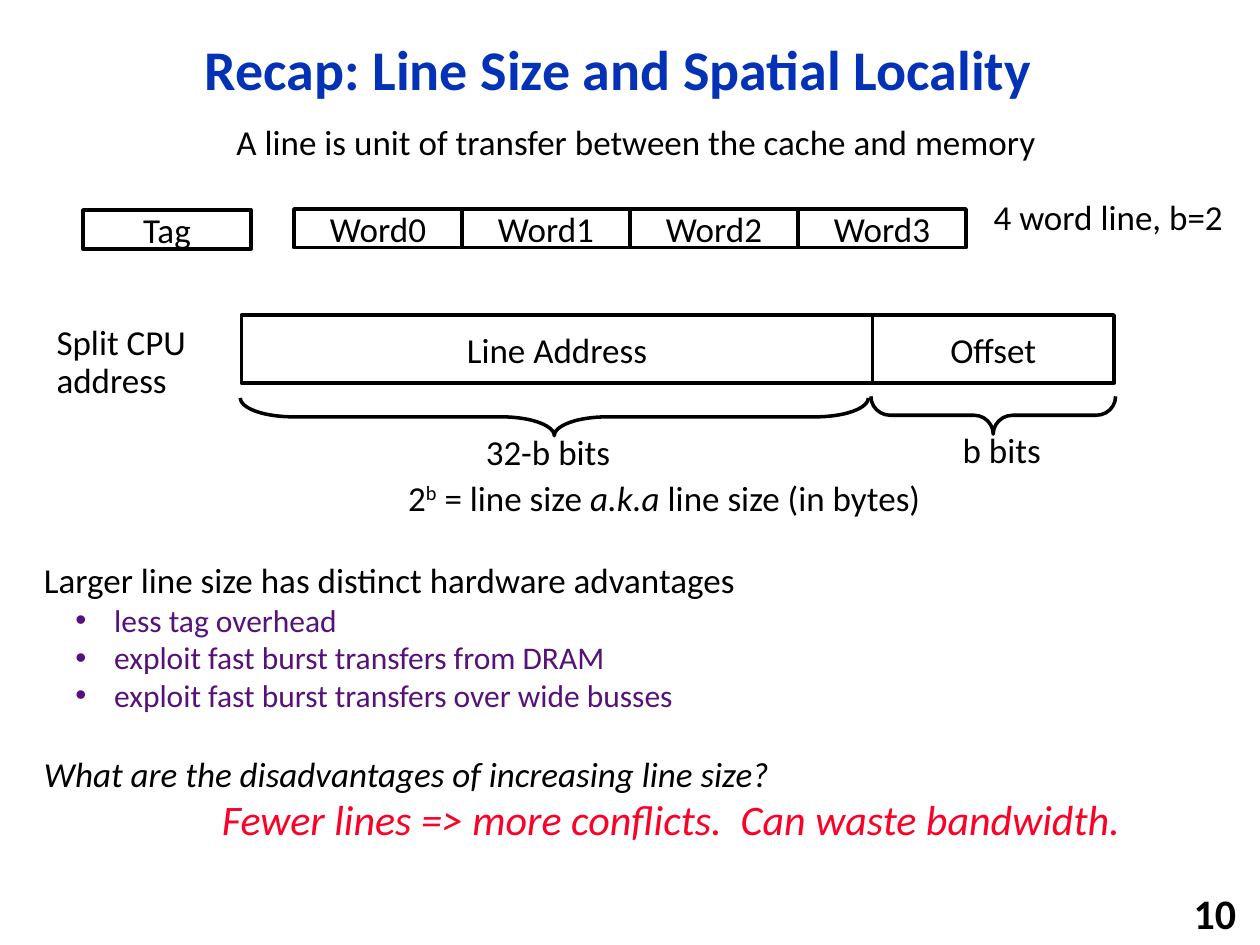
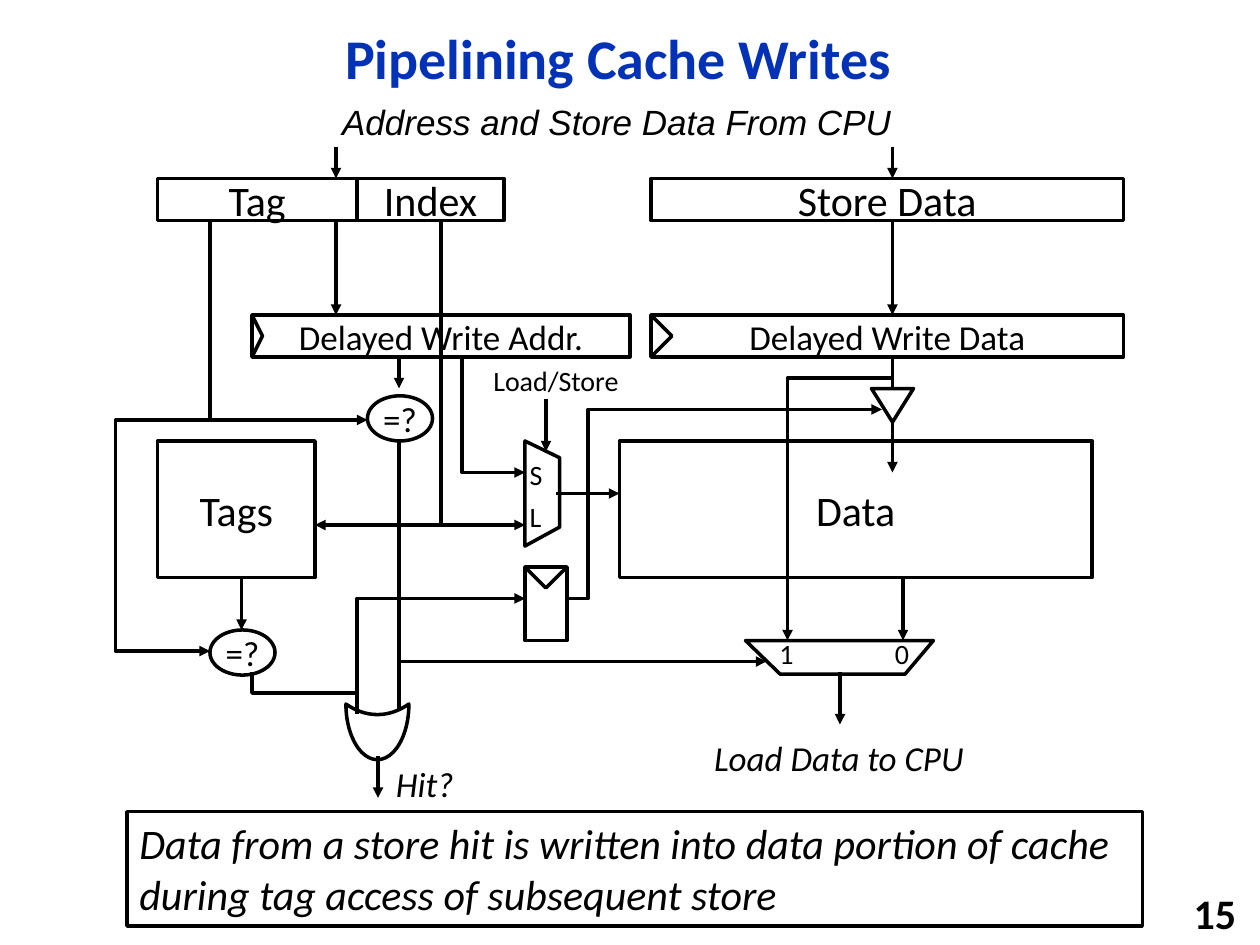
from dataclasses import dataclass
from typing import Any

from lxml import etree
from pptx import Presentation
from pptx import util as u
from pptx.dml.color import RGBColor
from pptx.enum import shapes, text
from pptx.oxml.ns import qn

PX = 7620  # 120 px to the inch
BLACK = RGBColor(0x00, 0x00, 0x00)
WHITE = RGBColor(0xFF, 0xFF, 0xFF)
TITLE_BLUE = RGBColor(0x03, 0x32, 0xB7)
BULLET_PURPLE = RGBColor(0x56, 0x12, 0x7A)
ANSWER_RED = RGBColor(0xFC, 0x01, 0x28)
FONT = "Calibri"
LEFT, CENTER, RIGHT = text.PP_ALIGN.LEFT, text.PP_ALIGN.CENTER, text.PP_ALIGN.RIGHT
TOP, MIDDLE = text.MSO_ANCHOR.TOP, text.MSO_ANCHOR.MIDDLE
RECT, OVAL = shapes.MSO_SHAPE.RECTANGLE, shapes.MSO_SHAPE.OVAL
LINE_WIDTH = u.Pt(2)


def style_font(font, size, color=BLACK, bold=False, italic=False, name=FONT):
    font.size, font.name = u.Pt(size), name
    font.bold, font.italic = bold, italic
    font.color.rgb = color


def write(shape, words, size, align=CENTER, anchor=MIDDLE, spacing=None, **font):
    frame = shape.text_frame
    frame.word_wrap = align != CENTER
    frame.vertical_anchor = anchor
    frame.text = words
    para = frame.paragraphs[0]
    para.alignment = align
    if spacing:
        para.line_spacing = spacing
    for span in para.runs:
        style_font(span.font, size, **font)
    return frame


def paint(shape, fill=None):
    shape.shadow.inherit = False
    if fill is None:
        shape.fill.background()
    else:
        shape.fill.solid()
        shape.fill.fore_color.rgb = fill
    shape.line.color.rgb = BLACK
    shape.line.width = LINE_WIDTH


def add_arrowhead(shape):
    etree.SubElement(shape.line._get_or_add_ln(), qn("a:tailEnd"), type="triangle")


@dataclass
class Region:
    """Part of a page; everything in it is placed from its top left corner."""
    page: Any
    left: int = 0
    top: int = 0

    def place(self, x, y, width, height):
        return [n * PX for n in (self.left + x, self.top + y, width, height)]

    def shift(self, points):
        return [(self.left + x, self.top + y) for x, y in points]

    def label(self, box, words, size=20, anchor=TOP, **style):
        shape = self.page.shapes.add_textbox(*self.place(*box))
        return write(shape, words, size, anchor=anchor, **style)

    def cell(self, box, words="", size=20, kind=RECT, **style):
        shape = self.page.shapes.add_shape(kind, *self.place(*box))
        paint(shape, WHITE)
        if words:
            write(shape, words, size, **style)
        return shape

    def turned(self, kind, box, adjustment, fill=None):
        """Shape turned a quarter left so that it fills the box."""
        x, y, width, height = box
        shift = (width - height) // 2
        shape = self.page.shapes.add_shape(
            kind, *self.place(x + shift, y - shift, height, width))
        shape.rotation = 270
        shape.adjustments[0] = adjustment
        paint(shape, fill)

    def outline(self, *points, fill=None, close=False):
        start, *rest = self.shift(points)
        builder = self.page.shapes.build_freeform(*start, scale=PX)
        builder.add_line_segments(rest, close=close)
        shape = builder.convert_to_shape()
        paint(shape, fill)
        return shape

    def wire(self, *points, arrow=True):
        """Straight connector for two points, bent line for more."""
        if len(points) > 2:
            shape = self.outline(*points)
        else:
            ends = [n * PX for point in self.shift(points) for n in point]
            shape = self.page.shapes.add_connector(
                shapes.MSO_CONNECTOR.STRAIGHT, *ends)
            shape.line.color.rgb = BLACK
            shape.line.width = LINE_WIDTH
            etree.SubElement(shape._element.spPr, qn("a:effectLst"))
        if arrow:
            add_arrowhead(shape)


def add_page(deck, title, title_top, number):
    page = deck.slides.add_slide(deck.slide_layouts[6])
    whole = Region(page)
    whole.label((110, title_top, 958, 97), title, 32, MIDDLE,
                spacing=0.9, color=TITLE_BLUE, bold=True)
    whole.label((940, 850, 249, 38), number, 24, MIDDLE, align=RIGHT, bold=True)
    return page


# Line size and spatial locality

def draw_cache_line(region):
    width, height = 160, 37
    region.cell((0, 1, width, height), "Tag")
    for i in range(4):
        region.cell((201 + i * width, 0, width, height), f"Word{i}")
    region.label((844, -19, 265, 53), "4 word line, b=2")


def draw_split_address(region):
    region.label((0, 4, 188, 85), "Split CPU address", align=LEFT, spacing=0.9)
    region.cell((188, 0, 601, 65), "Line Address")
    region.cell((789, 0, 230, 65), "Offset")
    brace = shapes.MSO_SHAPE.LEFT_BRACE
    region.turned(brace, (187, 79, 598, 36), 1.4)
    region.turned(brace, (788, 77, 233, 36), 0.51)
    region.label((408, 104, 144, 53), "32-b bits")
    region.label((862, 102, 100, 53), "b bits")

    frame = region.label((335, 152, 518, 49), "2", align=LEFT, spacing=0.9)
    para = frame.paragraphs[0]
    for words in ("b", " = line size ", "a.k.a", " line size (in bytes)"):
        span = para.add_run()
        span.text = words
        style_font(span.font, 20, italic=words == "a.k.a")
        if words == "b":
            span._r.get_or_add_rPr().set("baseline", "30000")


def add_bullet(para):
    properties = para._p.get_or_add_pPr()
    properties.set("marL", str(67 * PX))
    properties.set("indent", str(-37 * PX))
    etree.SubElement(properties, qn("a:buFont"), typeface="Arial")
    etree.SubElement(properties, qn("a:buChar"), char="•")


def draw_advantages(region):
    frame = region.label((0, 0, 1118, 236),
                         "Larger line size has distinct hardware advantages",
                         align=LEFT)
    for advantage in ("less tag overhead",
                      "exploit fast burst transfers from DRAM",
                      "exploit fast burst transfers over wide busses"):
        para = frame.add_paragraph()
        para.text = advantage
        style_font(para.runs[0].font, 18, BULLET_PURPLE)
        add_bullet(para)
    question = frame.add_paragraph()
    question.text = "What are the disadvantages of increasing line size?"
    question.space_before = u.Pt(22)
    style_font(question.runs[0].font, 20, italic=True)
    region.label((145, 224, 928, 60),
                 "Fewer lines => more conflicts.  Can waste bandwidth.",
                 24, MIDDLE, color=ANSWER_RED, italic=True)


def build_line_size(deck):
    page = add_page(deck, "Recap: Line Size and Spatial Locality", 20, "10")
    Region(page).label((43, 109, 1126, 52),
                       "A line is unit of transfer between the cache and memory")
    draw_cache_line(Region(page, 79, 199))
    draw_split_address(Region(page, 42, 300))
    draw_advantages(Region(page, 30, 526))


# Pipelined cache writes

def draw_request(region):
    region.label((150, 0, 575, 52), "Address and Store Data From CPU",
                 italic=True, name="Arial")
    region.cell((0, 80, 190, 40), "Tag", 24)
    region.cell((190, 80, 140, 40), "Index", 24)
    region.cell((470, 80, 450, 40), "Store Data", 24)
    for words, x, width, notch in (("Delayed Write Addr.", 90, 360, 10),
                                   ("Delayed Write Data", 470, 450, 20)):
        region.cell((x, 210, width, 40), words)
        region.outline((x, 210), (x + notch, 230), (x, 250))
    for x in (170, 700):
        region.wire((x, 50), (x, 80))
        region.wire((x, 120), (x, 210))


def draw_tag_check(region):
    region.cell((40, 210, 150, 130), "Tags", 24)
    for x, y in ((90, 390), (240, 167)):
        region.cell((x, y, 62, 43), "=?", kind=OVAL)
    region.wire((120, 340), (120, 390))
    region.wire((270, 130), (270, 160))
    region.wire((90, 0), (90, 190), (240, 190))
    region.wire((90, 190), (0, 190), (0, 410), (90, 410))


def draw_data_store(region):
    region.cell((0, 80, 450, 130), "Data", 24)
    region.outline((120, 270), (299, 270), (272, 302), (153, 302),
                   fill=WHITE, close=True)
    region.label((140, 260, 38, 44), "1", 16)
    region.label((250, 260, 38, 44), "0", 16)
    region.wire((260, 0), (260, 110))
    region.wire((260, 20), (160, 20), (160, 270))
    region.wire((270, 210), (270, 270))
    region.wire((210, 300), (210, 350))
    write_gate = region.cell((240, 30, 40, 32),
                             kind=shapes.MSO_SHAPE.ISOSCELES_TRIANGLE)
    write_gate.rotation = 180
    region.label((70, 356, 278, 53), "Load Data to CPU", italic=True)


def draw_index_select(region):
    region.outline((80, 310), (80, 210), (113, 226), (113, 292),
                   fill=WHITE, close=True)
    region.wire((110, 260), (170, 260))
    region.wire((0, 0), (0, 290), (80, 290))
    region.wire((20, 130), (20, 240), (80, 240))
    region.wire((100, 170), (100, 220))
    region.wire((0, 290), (-120, 290))
    region.label((35, 130, 149, 44), "Load/Store", 16)
    region.label((72, 220, 37, 44), "S", 16)
    region.label((72, 260, 36, 44), "L", 16)


def draw_hit_logic(region):
    region.wire((140, 0), (140, 260), arrow=False)
    region.turned(shapes.MSO_SHAPE.MOON, (90, 250, 60, 53), 0.81, WHITE)
    region.wire((0, 220), (0, 240), (100, 240), (100, 260), arrow=False)
    region.wire((140, 210), (490, 210))
    region.wire((120, 300), (120, 340))
    region.label((120, 300, 89, 52), "Hit?", italic=True)
    region.cell((260, 120, 40, 70))
    region.outline((300, 120), (280, 140), (260, 120))
    region.wire((100, 240), (100, 150), (260, 150))
    region.wire((300, 150), (320, 150), (320, -30), (600, -30))


def draw_summary(region):
    region.cell((0, 0, 967, 109),
                "Data from a store hit is written into data portion of cache "
                "during tag access of subsequent store",
                24, align=LEFT, anchor=TOP, italic=True)


def build_cache_writes(deck):
    page = add_page(deck, "Pipelining Cache Writes", 10, "15")
    draw_request(Region(page, 150, 90))
    draw_tag_check(Region(page, 110, 210))
    draw_data_store(Region(page, 590, 340))
    draw_index_select(Region(page, 420, 210))
    draw_hit_logic(Region(page, 240, 420))
    draw_summary(Region(page, 121, 773))


def main():
    deck = Presentation()
    deck.slide_width, deck.slide_height = 1200 * PX, 900 * PX
    build_line_size(deck)
    build_cache_writes(deck)
    deck.save("out.pptx")


if __name__ == "__main__":
    main()
